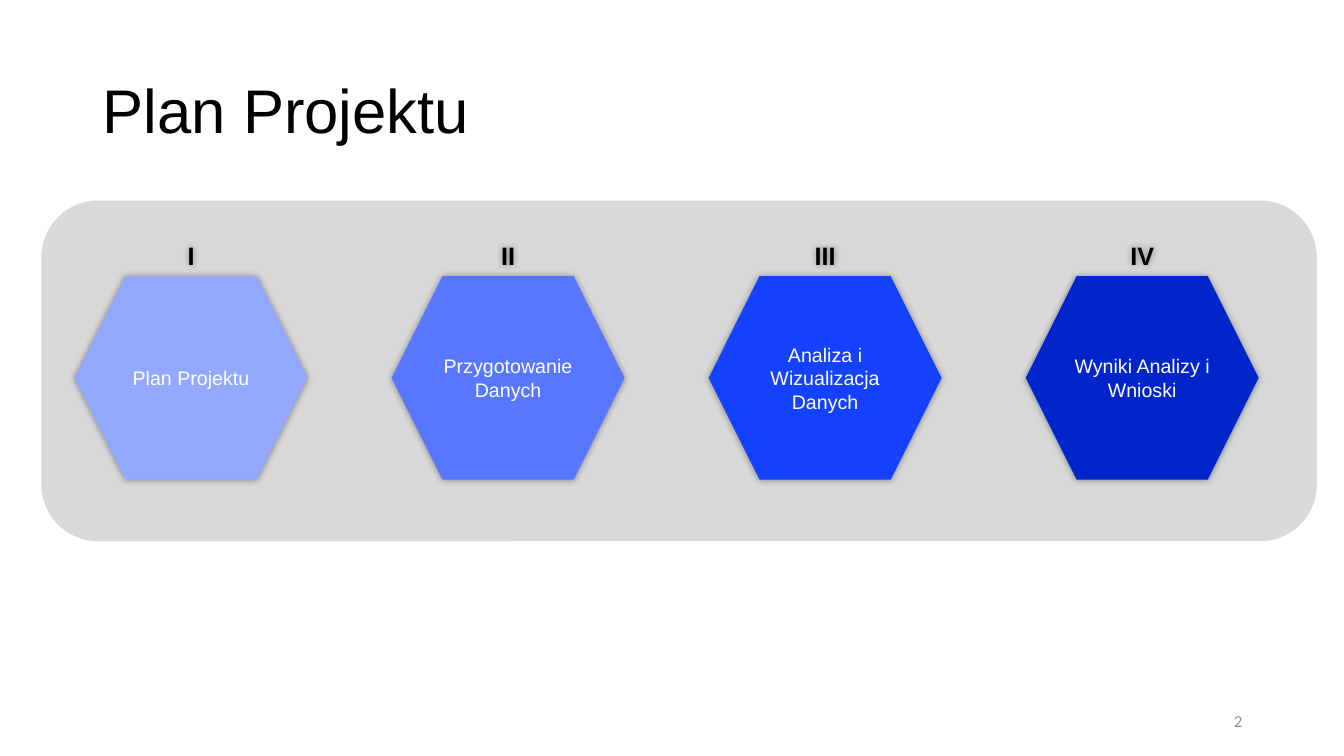
from lxml.etree import SubElement
from pptx import Presentation
from pptx.dml.color import RGBColor
from pptx.enum.shapes import MSO_SHAPE
from pptx.enum.text import MSO_ANCHOR, MSO_AUTO_SIZE, PP_ALIGN
from pptx.oxml.ns import qn
from pptx.util import Inches, Pt

BLACK = RGBColor(0, 0, 0)
WHITE = RGBColor(255, 255, 255)
PANEL = RGBColor(0xD9, 0xD9, 0xD9)
GRAY = RGBColor(0x8C, 0x8C, 0x8C)
STAGES = [
    ("I", "Plan Projektu", RGBColor(0x93, 0xA8, 0xFF)),
    ("II", "Przygotowanie Danych", RGBColor(0x57, 0x77, 0xFF)),
    ("III", "Analiza i Wizualizacja Danych", RGBColor(0x15, 0x42, 0xFF)),
    ("IV", "Wyniki Analizy i Wnioski", RGBColor(0x00, 0x26, 0xCB)),
]
# Shares of the slide, in percent
LEFT, PITCH = 5.55, 23.59
HEX_TOP, HEX_WIDE, HEX_TALL = 36.53, 17.33, 26.93
TAG_TOP, TAG_WIDE, TAG_TALL = 31.07, 10.58, 5.33


class Deck:
    """Style and current slide; boxes are (left, top, width, height) in percent."""

    def __init__(self, font="Arial"):
        self.font = font
        self.prs = Presentation()
        self.prs.slide_width, self.prs.slide_height = Inches(13.333), Inches(7.5)
        self.slide = self.prs.slides.add_slide(self.prs.slide_layouts[5])

    def place(self, box):
        wide, tall = self.prs.slide_width, self.prs.slide_height
        return [int(share * side / 100)
                for share, side in zip(box, (wide, tall, wide, tall))]

    def set_text(self, shape, text, size, color, align, bold=False, font=None):
        frame = shape.text_frame
        frame.text = text
        frame.word_wrap = True
        line = frame.paragraphs[0]
        line.alignment = align
        style = line.runs[0].font
        style.name, style.size, style.bold = font or self.font, Pt(size), bold
        style.color.rgb = color
        return frame

    def title(self, box, text):
        shape = self.slide.shapes.title
        shape.left, shape.top, shape.width, shape.height = self.place(box)
        frame = self.set_text(shape, text, 44, BLACK, PP_ALIGN.LEFT)
        frame.vertical_anchor = MSO_ANCHOR.MIDDLE
        frame.paragraphs[0].line_spacing = 0.9

    def shape(self, kind, box, color):
        shape = self.slide.shapes.add_shape(kind, *self.place(box))
        shape.shadow.inherit = False
        shape.fill.solid()
        shape.fill.fore_color.rgb = color
        shape.line.fill.background()
        return shape

    def glow(self, shape):
        """Give the shape a soft black shadow with no offset."""
        shape.shadow.inherit = False
        effects = shape.element.spPr.find(qn("a:effectLst"))
        shadow = SubElement(effects, qn("a:outerShdw"), blurRad=str(Pt(5)),
                            dist="0", dir="0", algn="ctr", rotWithShape="0")
        color = SubElement(shadow, qn("a:srgbClr"), val=str(BLACK))
        SubElement(color, qn("a:alpha"), val="40000")

    def hexagon(self, box, text, color):
        shape = self.shape(MSO_SHAPE.HEXAGON, box, color)
        self.glow(shape)
        frame = self.set_text(shape, text, 14, WHITE, PP_ALIGN.CENTER)
        frame.vertical_anchor = MSO_ANCHOR.MIDDLE

    def label(self, box, text):
        shape = self.slide.shapes.add_textbox(*self.place(box))
        self.glow(shape)
        frame = self.set_text(shape, text, 18, BLACK, PP_ALIGN.CENTER, bold=True)
        frame.auto_size = MSO_AUTO_SIZE.SHAPE_TO_FIT_TEXT

    def number(self, box, text):
        shape = self.slide.shapes.add_textbox(*self.place(box))
        frame = self.set_text(shape, text, 12, GRAY, PP_ALIGN.RIGHT, font="Calibri")
        frame.vertical_anchor = MSO_ANCHOR.MIDDLE


def main():
    deck = Deck()
    deck.title((6.9, 5.33, 86.27, 19.33), "Plan Projektu")
    deck.shape(MSO_SHAPE.ROUNDED_RECTANGLE, (3.08, 26.53, 94.9, 45.07), PANEL)
    for i, (tag, name, color) in enumerate(STAGES):
        left = LEFT + i * PITCH
        inset = (HEX_WIDE - TAG_WIDE) / 2
        deck.hexagon((left, HEX_TOP, HEX_WIDE, HEX_TALL), name, color)
        deck.label((left + inset, TAG_TOP, TAG_WIDE, TAG_TALL), tag)
    deck.number((70.67, 92.67, 22.5, 5.33), "2")
    deck.prs.save("out.pptx")


if __name__ == "__main__":
    main()
